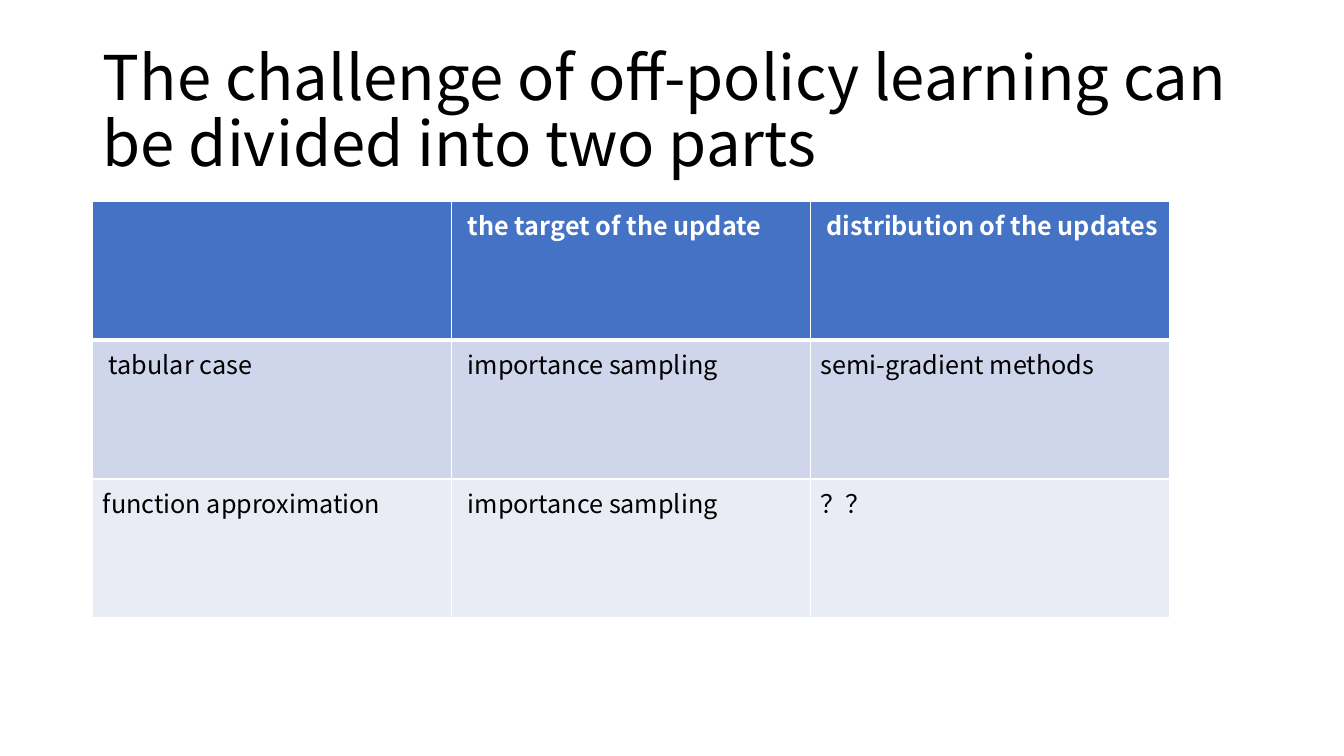
from dataclasses import dataclass

from lxml.etree import SubElement
from pptx import Presentation
from pptx.dml.color import RGBColor
from pptx.enum.text import MSO_ANCHOR, MSO_AUTO_SIZE, PP_ALIGN
from pptx.oxml.ns import qn
from pptx.slide import Slide
from pptx.table import _Cell as Cell
from pptx.text.text import _Paragraph as Paragraph
from pptx.util import Inches, Pt


@dataclass(frozen=True)
class Theme:
    font: str = "Noto Sans CJK SC"
    title_size: int = 44
    table_size: int = 18
    dark: str = "000000"
    light: str = "FFFFFF"
    header_fill: str = "4472C4"
    band_fills: tuple[str, str] = ("CFD5EA", "E9EBF5")
    border_width: int = 1
    header_rule_width: int = 3


@dataclass(frozen=True)
class Entry:
    text: str = ""
    indent: float = 0


THEME = Theme()
STEP = 0.06
TITLE = "The challenge of off-policy learning can be divided into two parts"
ROWS = [
    [Entry(), Entry("the target of the update", STEP), Entry("distribution of the updates", STEP)],
    [Entry("tabular case", STEP), Entry("importance sampling", STEP), Entry("semi-gradient methods")],
    [Entry("function approximation"), Entry("importance sampling", STEP), Entry("？？")],
]


def format_paragraph(paragraph: Paragraph, size: int, color: str, bold: bool = False) -> None:
    paragraph.alignment = PP_ALIGN.LEFT
    for run in paragraph.runs:
        run.font.size = Pt(size)
        run.font.bold = bold
        run.font.color.rgb = RGBColor.from_string(color)
        run.font.name = THEME.font
        # East Asian characters take their font from a separate element
        east_asian = SubElement(run.font._element, qn("a:ea"))
        east_asian.set("typeface", THEME.font)


def add_border(cell: Cell, side: str, width: int) -> None:
    line = SubElement(cell._tc.get_or_add_tcPr(), qn(f"a:ln{side}"), w=str(Pt(width)))
    fill = SubElement(line, qn("a:solidFill"))
    SubElement(fill, qn("a:srgbClr"), val=THEME.light)


def draw_cell(cell: Cell, entry: Entry, row: int) -> None:
    is_header = row == 0
    for side in "LRTB":
        on_header_rule = (row, side) in ((0, "B"), (1, "T"))
        add_border(cell, side, THEME.header_rule_width if on_header_rule else THEME.border_width)
    fill = THEME.header_fill if is_header else THEME.band_fills[(row - 1) % 2]
    cell.fill.solid()
    cell.fill.fore_color.rgb = RGBColor.from_string(fill)
    cell.margin_left = Inches(0.1 + entry.indent)
    cell.margin_right = Inches(0.05)
    if entry.text:
        cell.text_frame.text = entry.text
        color = THEME.light if is_header else THEME.dark
        format_paragraph(cell.text_frame.paragraphs[0], THEME.table_size, color, is_header)


def draw_title(slide: Slide) -> None:
    title = slide.shapes.title
    title.left, title.top = Inches(0.92), Inches(0.4)
    title.width, title.height = Inches(11.5), Inches(1.45)
    frame = title.text_frame
    frame.text = TITLE
    frame.word_wrap = True
    frame.auto_size = MSO_AUTO_SIZE.NONE
    frame.vertical_anchor = MSO_ANCHOR.MIDDLE
    paragraph = frame.paragraphs[0]
    paragraph.line_spacing = 0.9
    format_paragraph(paragraph, THEME.title_size, THEME.dark)


def draw_table(slide: Slide) -> None:
    table = slide.shapes.add_table(
        len(ROWS), len(ROWS[0]), Inches(0.92), Inches(2), Inches(10.68), Inches(4.13)
    ).table
    for row, entries in enumerate(ROWS):
        for column, entry in enumerate(entries):
            draw_cell(table.cell(row, column), entry, row)


def main() -> None:
    presentation = Presentation()
    presentation.slide_width = Inches(13.33)
    presentation.slide_height = Inches(7.5)
    # Title Only layout
    slide = presentation.slides.add_slide(presentation.slide_layouts[5])
    draw_title(slide)
    draw_table(slide)
    presentation.save("out.pptx")


if __name__ == "__main__":
    main()
